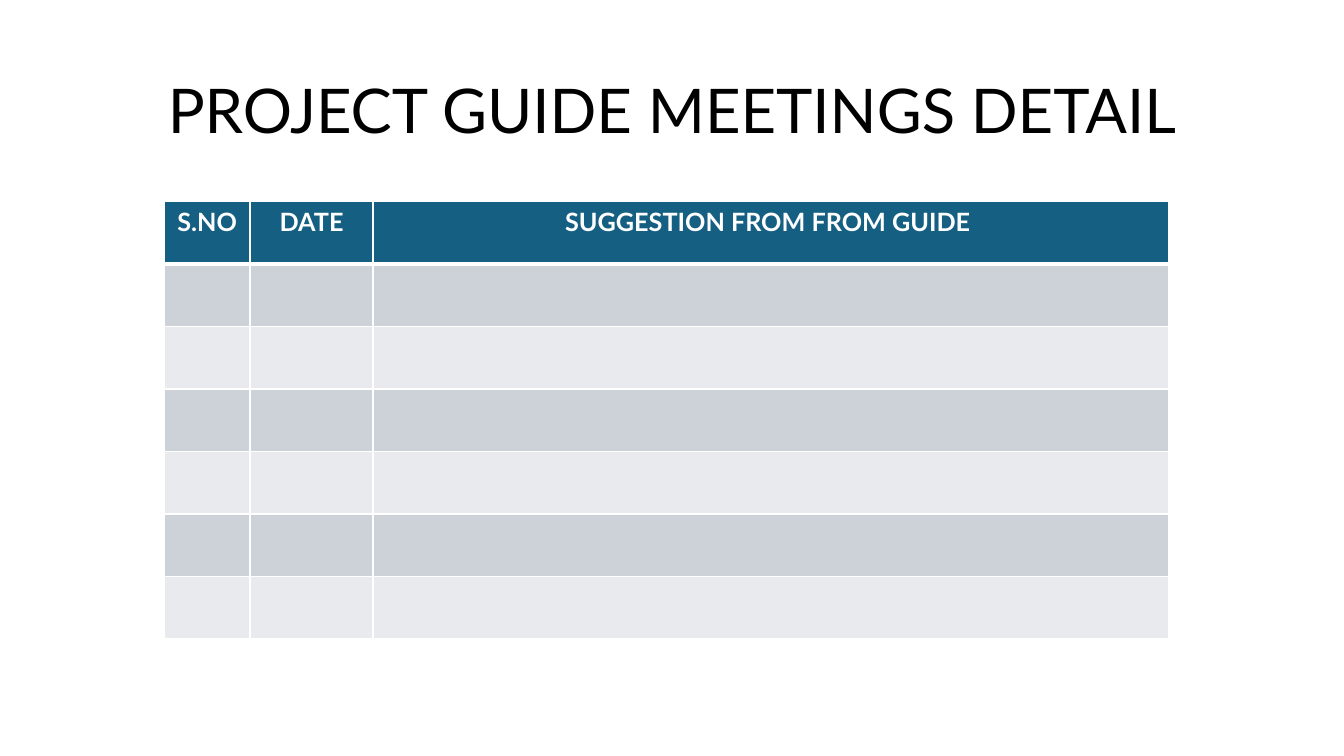
import pptx
import pptx.util
import pptx.dml.color
import pptx.enum.text
import pptx.oxml.ns
import lxml.etree

TITLE = "PROJECT GUIDE MEETINGS DETAIL"
HEADERS = ["S.NO", "DATE", "SUGGESTION FROM FROM GUIDE "]
COLUMN_WIDTHS = [0.85, 1.22, 7.89]
MEETING_ROWS = 6
ROW_HEIGHT = 0.62
TABLE_LEFT, TABLE_TOP = 1.63, 2
HEADER_FILL = "156082"
BAND_FILLS = ["CCD2D8", "E8EAED"]
WHITE, BLACK = "FFFFFF", "000000"
FONT = "Lato"
Inches = pptx.util.Inches


def color(value):
    """Turn a hex string into a colour."""
    return pptx.dml.color.RGBColor.from_string(value)


def write(frame, text, size=18, ink=BLACK, bold=False, spacing=1.0):
    """Put one centred, formatted paragraph into a text frame."""
    paragraph = frame.paragraphs[0]
    paragraph.alignment = pptx.enum.text.PP_ALIGN.CENTER
    paragraph.line_spacing = spacing
    run = paragraph.add_run()
    run.text = text
    run.font.name = FONT
    run.font.size = pptx.util.Pt(size)
    run.font.bold = bold
    run.font.color.rgb = color(ink)


def paint_cell(cell, fill, top=1, bottom=1):
    """Give a cell white borders, in points, and a solid fill."""
    qn = pptx.oxml.ns.qn
    properties = cell._tc.get_or_add_tcPr()
    for side, width in {"L": 1, "R": 1, "T": top, "B": bottom}.items():
        line = lxml.etree.SubElement(properties, qn(f"a:ln{side}"), w=str(pptx.util.Pt(width)))
        solid = lxml.etree.SubElement(line, qn("a:solidFill"))
        lxml.etree.SubElement(solid, qn("a:srgbClr"), val=WHITE)
    cell.fill.solid()
    cell.fill.fore_color.rgb = color(fill)


def add_title(slide):
    """Place and format the title placeholder."""
    title = slide.shapes.title
    title.left, title.top = Inches(0.92), Inches(0.4)
    title.width, title.height = Inches(11.5), Inches(1.45)
    title.text_frame.vertical_anchor = pptx.enum.text.MSO_ANCHOR.MIDDLE
    write(title.text_frame, TITLE, size=44, spacing=0.9)


def add_meetings_table(slide):
    """Add the header row and the banded rows for the meetings."""
    row_count = MEETING_ROWS + 1
    table = slide.shapes.add_table(
        row_count, len(HEADERS), Inches(TABLE_LEFT), Inches(TABLE_TOP),
        Inches(sum(COLUMN_WIDTHS)), Inches(ROW_HEIGHT * row_count)).table
    for column, width in zip(table.columns, COLUMN_WIDTHS):
        column.width = Inches(width)
    for number, row in enumerate(table.rows):
        row.height = Inches(ROW_HEIGHT)
        for cell, header in zip(row.cells, HEADERS):
            if number == 0:
                paint_cell(cell, HEADER_FILL, bottom=3)
                write(cell.text_frame, header, ink=WHITE, bold=True)
            else:
                paint_cell(cell, BAND_FILLS[(number - 1) % 2], top=3 if number == 1 else 1)


def main():
    """Build and save the slide."""
    presentation = pptx.Presentation()
    presentation.slide_width = Inches(13.33)
    presentation.slide_height = Inches(7.5)
    slide = presentation.slides.add_slide(presentation.slide_layouts[5])
    slide.background.fill.solid()
    slide.background.fill.fore_color.rgb = color(WHITE)
    add_title(slide)
    add_meetings_table(slide)
    presentation.save("out.pptx")


main()
